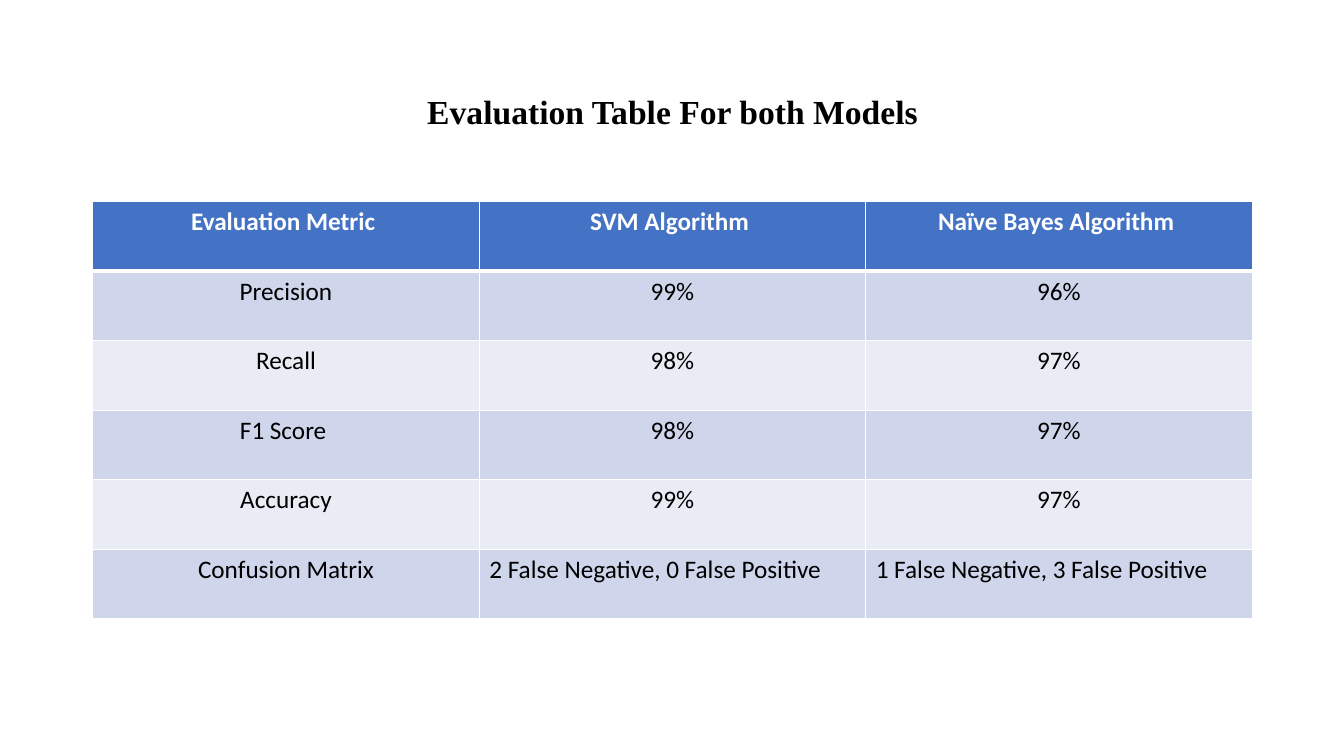
from dataclasses import dataclass

from lxml import etree
from pptx import Presentation
from pptx.dml.color import RGBColor
from pptx.enum.text import MSO_ANCHOR, PP_ALIGN
from pptx.oxml.ns import qn
from pptx.util import Inches, Pt

CENTER, LEFT = PP_ALIGN.CENTER, PP_ALIGN.LEFT
MIDDLE = MSO_ANCHOR.MIDDLE
TITLE_ONLY = 5


@dataclass(frozen=True)
class Theme:
    title_font: str = "Times New Roman"
    body_font: str = "Calibri"
    title_size: int = 24
    body_size: int = 18
    text: str = "000000"
    white: str = "FFFFFF"
    header: str = "4472C4"
    bands: tuple = ("CFD5EA", "E9EBF5")
    rule: float = 1
    header_rule: float = 3


THEME = Theme()

METRICS = [
    ("Evaluation Metric ", "SVM Algorithm ", "Naïve Bayes Algorithm "),
    ("Precision", "99%", "96%"),
    ("Recall", "98%", "97%"),
    ("F1 Score ", "98%", "97%"),
    ("Accuracy", "99%", "97%"),
    ("Confusion Matrix", "2 False Negative, 0 False Positive",
     "1 False Negative, 3 False Positive"),
]


def write(tf, text, font, size, color, bold, align):
    tf.text = text
    p = tf.paragraphs[0]
    p.alignment = align
    r = p.runs[0]
    r.font.name, r.font.size, r.font.bold = font, Pt(size), bold
    r.font.color.rgb = RGBColor.from_string(color)
    return p


def set_borders(cell, color, widths):
    tc_pr = cell._tc.get_or_add_tcPr()
    for side, width in widths.items():
        ln = etree.SubElement(tc_pr, qn(f"a:ln{side}"), w=str(Pt(width)))
        fill = etree.SubElement(ln, qn("a:solidFill"))
        etree.SubElement(fill, qn("a:srgbClr"), val=color)


def add_title(slide, text, left, top, width, height):
    sp = slide.shapes.title
    sp.left, sp.top, sp.width, sp.height = map(Inches, (left, top, width, height))
    tf = sp.text_frame
    tf.word_wrap = True
    tf.vertical_anchor = MIDDLE
    p = write(tf, text, THEME.title_font, THEME.title_size, THEME.text, True, CENTER)
    p.line_spacing = 0.9


def add_metrics_table(slide, rows, left, top, width, height):
    box = map(Inches, (left, top, width, height))
    table = slide.shapes.add_table(len(rows), len(rows[0]), *box).table
    for i, row in enumerate(rows):
        is_header = i == 0
        fill = THEME.header if is_header else THEME.bands[(i - 1) % 2]
        color = THEME.white if is_header else THEME.text
        widths = dict.fromkeys("LRTB", THEME.rule)
        # Thick rule between the header and the first metric
        if i < 2:
            widths["B" if is_header else "T"] = THEME.header_rule
        for j, text in enumerate(row):
            cell = table.cell(i, j)
            set_borders(cell, THEME.white, widths)
            cell.fill.solid()
            cell.fill.fore_color.rgb = RGBColor.from_string(fill)
            # Only the confusion counts are left-aligned
            is_counts = i == len(rows) - 1 and j > 0
            write(cell.text_frame, text, THEME.body_font, THEME.body_size,
                  color, is_header, LEFT if is_counts else CENTER)


def build_evaluation_slide(prs):
    s = prs.slides.add_slide(prs.slide_layouts[TITLE_ONLY])
    s.background.fill.solid()
    s.background.fill.fore_color.rgb = RGBColor.from_string(THEME.white)
    add_title(s, "Evaluation Table For both Models", 0.92, 0.4, 11.5, 1.45)
    add_metrics_table(s, METRICS, 0.92, 2, 11.5, 4.14)


prs = Presentation()
prs.slide_width, prs.slide_height = Inches(13.33), Inches(7.5)
build_evaluation_slide(prs)
prs.save("out.pptx")
